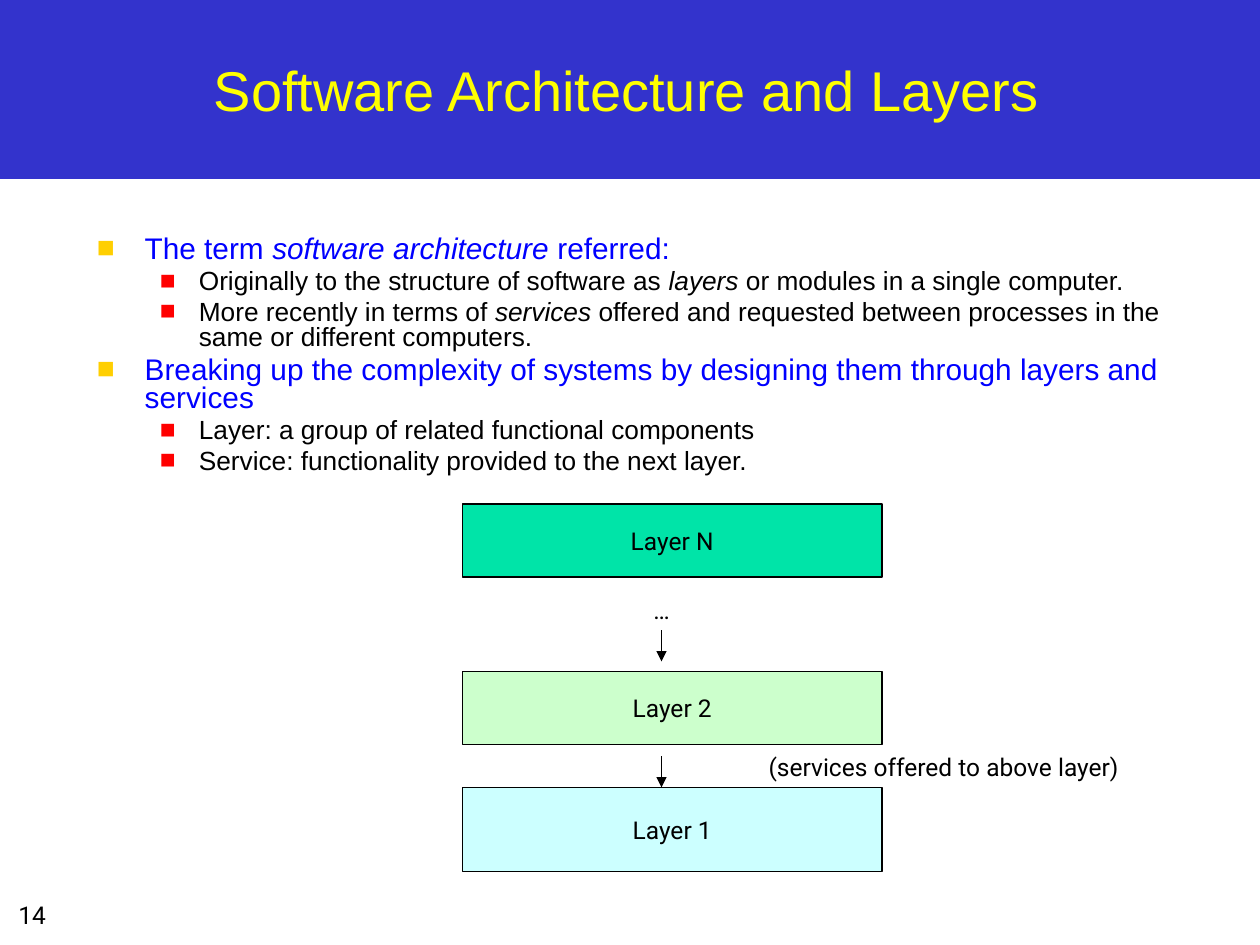
from lxml.etree import SubElement
from pptx import Presentation
from pptx.dml.color import RGBColor
from pptx.enum.shapes import MSO_CONNECTOR, MSO_SHAPE
from pptx.enum.text import MSO_ANCHOR, PP_ALIGN
from pptx.oxml.ns import qn
from pptx.util import Inches, Pt

WHITE = RGBColor(0xFF, 0xFF, 0xFF)
BLACK = RGBColor(0x00, 0x00, 0x00)
BANNER_BLUE = RGBColor(0x33, 0x33, 0xCC)
TITLE_YELLOW = RGBColor(0xFF, 0xFF, 0x00)
TOPIC_BLUE = RGBColor(0x00, 0x00, 0xFF)
GOLD = RGBColor(0xFF, 0xCF, 0x01)
RED = RGBColor(0xFF, 0x00, 0x00)
AQUA = RGBColor(0xCC, 0xFF, 0xFF)
PALE_GREEN = RGBColor(0xCC, 0xFF, 0xCC)
GREEN = RGBColor(0x00, 0xE4, 0xA8)

LABEL = {"name": "Roboto", "size": Pt(14)}
TITLE = {"name": "Arial", "size": Pt(32)}
# Per outline level: font, text colour, bullet colour, left edge, hanging indent, space before
LEVELS = [
    ({"name": "Arial", "size": Pt(17)}, TOPIC_BLUE, GOLD, 0.38, 0.38, 3.4),
    ({"name": "Arial", "size": Pt(15)}, BLACK, RED, 0.81, 0.31, 3),
]

# Level and runs; every second run is italic
OUTLINE = [
    (0, ["The term ", "software architecture ", "referred:"]),
    (1, ["Originally to the structure of software as ", "layers",
         " or modules in a single computer."]),
    (1, ["More recently in terms of ", "services",
         " offered and requested between processes in the same or different computers."]),
    (0, ["Breaking up the complexity of systems by designing them through layers and services"]),
    (1, ["Layer: a group of related functional components"]),
    (1, ["Service: functionality provided to the next layer."]),
]

LAYERS = [
    ("Layer 1", 6.25, 0.67, AQUA),
    ("Layer 2", 5.33, 0.58, PALE_GREEN),
    ("Layer N", 4, 0.58, GREEN),
]


class SlideBuilder:
    def __init__(self, slide):
        self.slide = slide
        background = slide.background.fill
        background.solid()
        background.fore_color.rgb = WHITE

    def add_run(self, paragraph, text, font_values, color, italic=False):
        run = paragraph.add_run()
        run.text = text
        for name, value in {**font_values, "italic": italic}.items():
            setattr(run.font, name, value)
        run.font.color.rgb = color

    def write_centred(self, shape, text, font_values, color, anchor):
        frame = shape.text_frame
        frame.word_wrap = True
        frame.vertical_anchor = anchor
        paragraph = frame.paragraphs[0]
        paragraph.alignment = PP_ALIGN.CENTER
        self.add_run(paragraph, text, font_values, color)

    def rectangle(self, left, top, width, height, fill, text=None):
        """Outline and label the rectangle only when it has text."""
        shape = self.slide.shapes.add_shape(
            MSO_SHAPE.RECTANGLE, Inches(left), Inches(top), Inches(width), Inches(height))
        shape.shadow.inherit = False
        shape.fill.solid()
        shape.fill.fore_color.rgb = fill
        if text is None:
            shape.line.fill.background()
            return
        shape.line.color.rgb = BLACK
        shape.line.width = Pt(0.75)
        self.write_centred(shape, text, LABEL, BLACK, MSO_ANCHOR.MIDDLE)

    def text_box(self, left, top, width, height):
        return self.slide.shapes.add_textbox(
            Inches(left), Inches(top), Inches(width), Inches(height))

    def label(self, left, top, width, height, text,
              font_values=LABEL, color=BLACK, anchor=MSO_ANCHOR.TOP):
        shape = self.text_box(left, top, width, height)
        self.write_centred(shape, text, font_values, color, anchor)

    def outline(self, left, top, width, height, items):
        frame = self.text_box(left, top, width, height).text_frame
        frame.word_wrap = True
        for index, (level, runs) in enumerate(items):
            paragraph = frame.add_paragraph() if index else frame.paragraphs[0]
            font_values, color, bullet_color, margin, hanging, space = LEVELS[level]
            paragraph_format = {
                "level": level,
                "line_spacing": 0.8,
                "space_before": Pt(space if index else 0),
            }
            for name, value in paragraph_format.items():
                setattr(paragraph, name, value)
            self.bullet(paragraph, bullet_color, margin, hanging)
            for position, text in enumerate(runs):
                self.add_run(paragraph, text, font_values, color, position % 2 == 1)

    def bullet(self, paragraph, color, margin, hanging):
        properties = paragraph._p.get_or_add_pPr()
        properties.set("marL", str(Inches(margin)))
        properties.set("indent", str(-Inches(hanging)))
        bullet_color = SubElement(properties, qn("a:buClr"))
        SubElement(bullet_color, qn("a:srgbClr"), val=str(color))
        SubElement(properties, qn("a:buFont"), typeface="Arial")
        SubElement(properties, qn("a:buChar"), char="■")

    def down_arrow(self, x, top, length):
        connector = self.slide.shapes.add_connector(
            MSO_CONNECTOR.STRAIGHT, Inches(x), Inches(top), Inches(x), Inches(top + length))
        connector.line.color.rgb = BLACK
        connector.line.width = Pt(0.75)
        SubElement(connector.line._get_or_add_ln(), qn("a:tailEnd"), type="triangle")
        SubElement(connector._element.spPr, qn("a:effectLst"))


def main():
    presentation = Presentation()
    presentation.slide_width = Inches(10)
    presentation.slide_height = Inches(7.5)
    builder = SlideBuilder(presentation.slides.add_slide(presentation.slide_layouts[6]))

    builder.rectangle(0, 0, 10, 1.42, BANNER_BLUE)
    builder.label(0.01, 7.09, 0.49, 0.33, "14")
    builder.label(0.17, 0.17, 9.61, 1.08, "Software Architecture and Layers",
                  TITLE, TITLE_YELLOW, MSO_ANCHOR.MIDDLE)
    builder.outline(0.67, 1.83, 9.08, 2.25, OUTLINE)

    for name, top, height, fill in LAYERS:
        builder.rectangle(3.67, top, 3.33, height, fill, name)
    for top in (6, 5):
        builder.down_arrow(5.25, top, 0.25)
    builder.label(6, 5.92, 2.98, 0.33, "(services offered to above layer)")
    builder.label(5.07, 4.67, 0.36, 0.33, "…")

    presentation.save("out.pptx")


if __name__ == "__main__":
    main()
